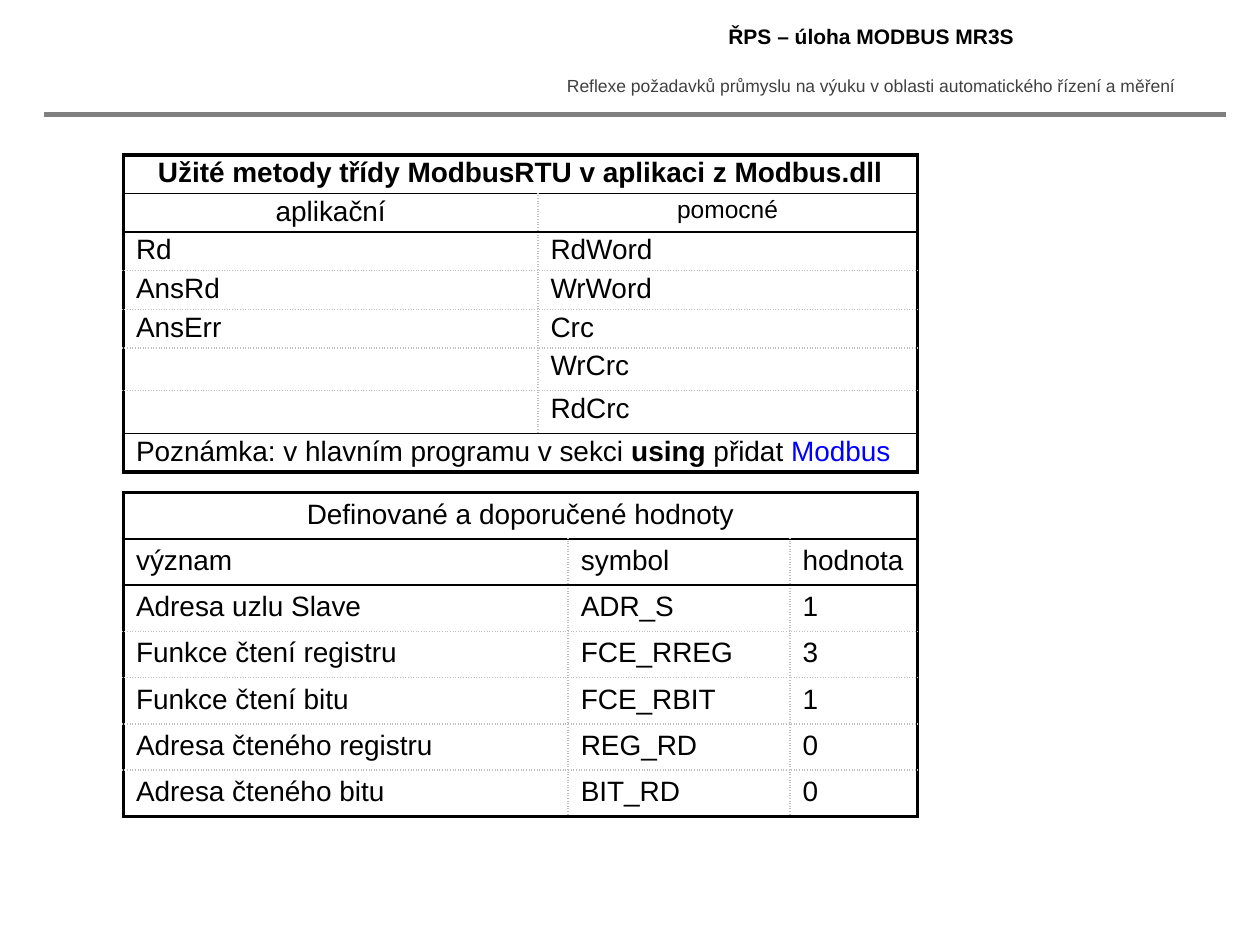
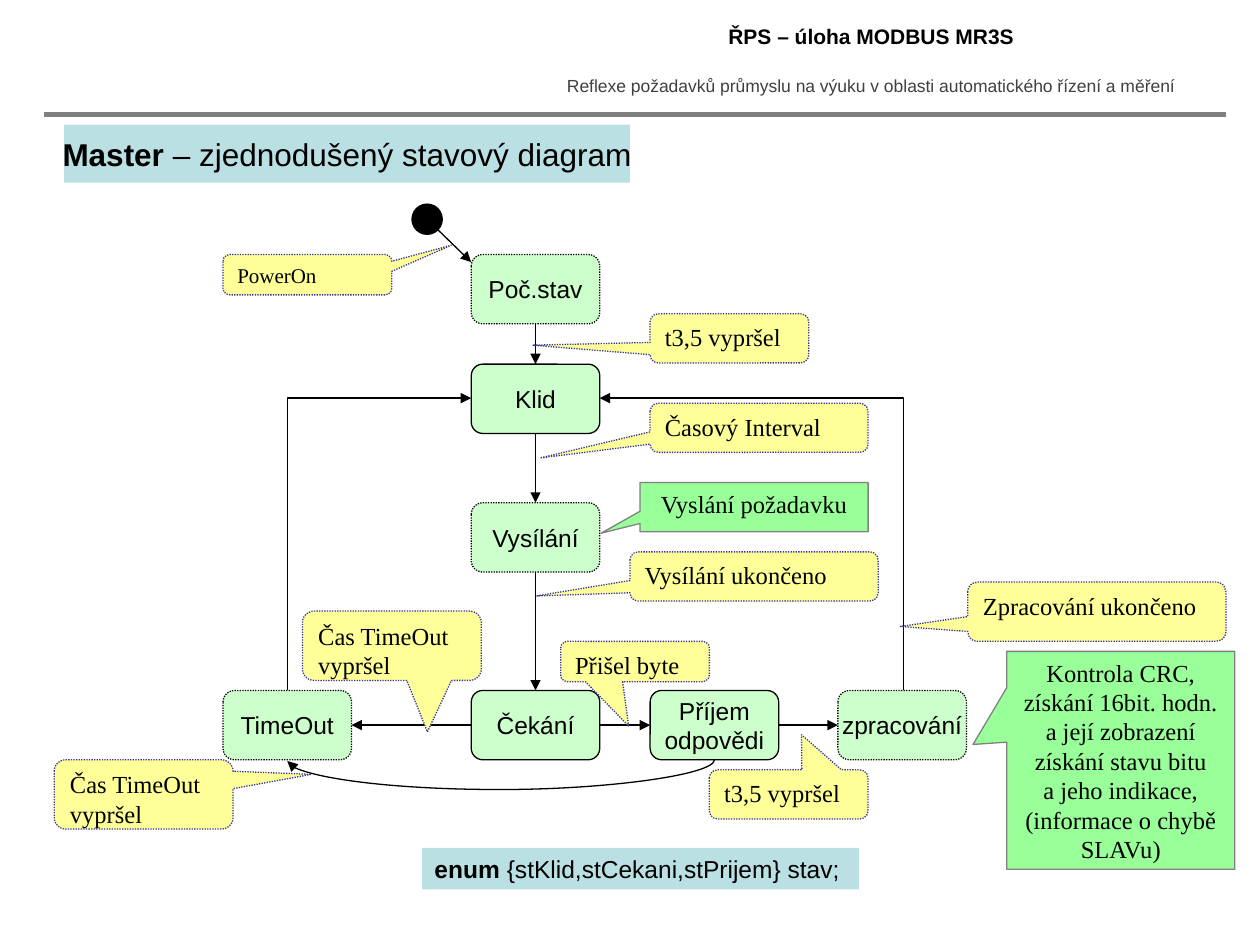
from lxml.etree import SubElement
from pptx import Presentation
from pptx.dml.color import RGBColor
from pptx.enum.dml import MSO_LINE
from pptx.enum.shapes import MSO_CONNECTOR, MSO_SHAPE
from pptx.enum.text import MSO_ANCHOR, MSO_AUTO_SIZE, PP_ALIGN
from pptx.oxml.ns import qn
from pptx.util import Inches, Pt

COLORS = {
    "black": "000000", "white": "FFFFFF", "subtitle": "404040", "rule": "808080",
    "grid": "C0C0C0", "keyword": "0000FF", "state": "CCFFCC", "event": "FFFF99",
    "event_line": "333399", "action": "99FF99", "label": "BBE0E3",
}
SANS, SERIF = "Arial", "Times New Roman"

TITLE = "ŘPS – úloha MODBUS MR3S"
SUBTITLE = "Reflexe požadavků průmyslu na výuku v oblasti automatického řízení a měření"

# A text is a string or a list of (text, bold, colour) runs.
METHODS = {
    "at": (0.98, 1.23), "columns": (3.29, 3.01), "row_height": 0.306, "margin": 0.02,
    "merged": (0, 7), "centered": (0, 1), "ruled": (0, 1, 6), "sizes": {(1, 1): 14},
    "rows": [
        [[("Užité metody třídy ModbusRTU v aplikaci z Modbus.dll", True, "black")]],
        ["aplikační", "pomocné"],
        ["Rd", "RdWord"],
        ["AnsRd", "WrWord"],
        ["AnsErr", "Crc"],
        ["", "WrCrc"],
        ["", "RdCrc"],
        [[("Poznámka: v hlavním programu v sekci ", False, "black"),
          ("using ", True, "black"), ("přidat ", False, "black"),
          ("Modbus", False, "keyword")]],
    ],
}
CONSTANTS = {
    "at": (0.98, 3.91), "columns": (3.53, 1.76, 1.01), "row_height": 0.367, "margin": 0.05,
    "merged": (0,), "centered": (0,), "ruled": (0, 1), "sizes": {},
    "rows": [
        ["Definované a doporučené hodnoty"],
        ["význam", "symbol", "hodnota"],
        ["Adresa uzlu Slave", "ADR_S", "1"],
        ["Funkce čtení registru", "FCE_RREG", "3"],
        ["Funkce čtení bitu", "FCE_RBIT", "1"],
        ["Adresa čteného registru", "REG_RD", "0"],
        ["Adresa čteného bitu", "BIT_RD", "0"],
    ],
}

STATE_SIZE = (1.02, 0.55)
STATES = {  # text: (left, top, dotted outline)
    "Poč.stav": (3.74, 2.02, True),
    "Klid": (3.74, 2.89, False),
    "Vysílání": (3.74, 3.99, True),
    "TimeOut": (1.77, 5.48, True),
    "Čekání": (3.74, 5.48, False),
    "Příjem\nodpovědi": (5.16, 5.48, False),
    "zpracování": (6.65, 5.48, True),
}
TOP, LEFT, BOTTOM, RIGHT = range(4)  # connection sites of a state
TRANSITIONS = [
    ("Poč.stav", BOTTOM, "Klid", TOP),
    ("Klid", BOTTOM, "Vysílání", TOP),
    ("Vysílání", BOTTOM, "Čekání", TOP),
    ("Čekání", RIGHT, "Příjem\nodpovědi", LEFT),
    ("Čekání", LEFT, "TimeOut", RIGHT),
    ("Příjem\nodpovědi", RIGHT, "zpracování", LEFT),
]
RETURNS = [  # from, to, preset, rotation, flipped, bend
    ((7.17, 5.48), (4.76, 3.16), "bentConnector2", 90, True, None),
    ((2.28, 5.48), (2.28 + 1.46, 3.16), "bentConnector2", 270, False, None),
    ((5.67, 6.03), (2.28, 6.04), "curvedConnector3", 90, False, 24),
]
EVENTS = [  # text, box, pointer offset from the centre, text size
    ("PowerOn", (1.77, 2.02, 1.34, 0.32), (0.852, -0.731), 12),
    ("t3,5 vypršel", (5.16, 2.49, 1.26, 0.39), (-1.241, 0.139), 14),
    ("Časový Interval", (5.16, 3.2, 1.73, 0.39), (-1.005, 0.615), 14),
    ("Vysílání ukončeno", (5, 4.38, 1.97, 0.39), (-0.878, 0.398), 14),
    ("Čas TimeOut\nvypršel", (2.4, 4.85, 1.42, 0.55), (0.199, 1.244), 14),
    ("Zpracování ukončeno", (7.68, 4.62, 2.05, 0.47), (-0.761, 0.25), 14),
    ("Přišel byte", (4.45, 5.09, 1.18, 0.32), (-0.043, 1.599), 14),
    ("Čas TimeOut\nvypršel", (0.43, 6.03, 1.42, 0.55), (0.938, -0.289), 14),
    ("t3,5 vypršel", (5.63, 6.11, 1.26, 0.39), (0.081, -1.214), 14),
]
ACTIONS = [
    ("Vyslání požadavku", (5.08, 3.83, 1.81, 0.39), (-0.671, 0.531)),
    ("Kontrola CRC,\nzískání 16bit. hodn.\na její zobrazení\nzískání stavu bitu\n"
     "a jeho indikace,\n(informace o chybě SLAVu)", (7.99, 5.17, 1.81, 1.73), (-0.648, -0.073)),
]
HEADING = [("Master", True, "black"), (" – zjednodušený stavový diagram", False, "black")]
DECLARATION = [("enum ", True, "black"), ("{stKlid,stCekani,stPrijem} stav;", False, "black")]


def rgb(name):
    """Return a palette colour."""
    return RGBColor.from_string(COLORS[name])


def write(frame, content, size, font=SANS, color="black", bold=False, align=PP_ALIGN.LEFT):
    """Fill a text frame with a string or with formatted runs."""
    if isinstance(content, str):
        frame.text = content
        styles = None
    else:
        for text, _, _ in content:
            frame.paragraphs[0].add_run().text = text
        styles = [(run_bold, run_color) for _, run_bold, run_color in content]
    for paragraph in frame.paragraphs:
        paragraph.alignment = align
        for index, run in enumerate(paragraph.runs):
            run_bold, run_color = styles[index] if styles else (bold, color)
            run.font.name, run.font.size, run.font.bold = font, Pt(size), run_bold
            run.font.color.rgb = rgb(run_color)


def add_line(slide, start, end, color="black", width=0.75, arrow=True):
    """Draw a straight line, with an arrowhead at its end if wanted."""
    line = slide.shapes.add_connector(
        MSO_CONNECTOR.STRAIGHT, *(Inches(v) for v in (*start, *end)))
    line.line.color.rgb = rgb(color)
    line.line.width = Pt(width)
    if arrow:
        SubElement(line.line._get_or_add_ln(), qn("a:tailEnd"), type="triangle")
    SubElement(line._element.spPr, qn("a:effectLst"))
    return line


def add_return(slide, start, end, preset, rotation, flipped, bend):
    """Draw a bent or curved arrow as a connector turned by a quarter."""
    arrow = add_line(slide, start, end)
    (x1, y1), (x2, y2) = start, end
    width, height = abs(y2 - y1), abs(x2 - x1)
    arrow.left = Inches((x1 + x2 - width) / 2)
    arrow.top = Inches((y1 + y2 - height) / 2)
    arrow.width, arrow.height = Inches(width), Inches(height)
    properties = arrow._element.spPr
    frame = properties.find(qn("a:xfrm"))
    for flip in ("flipH", "flipV"):
        frame.attrib.pop(flip, None)
    frame.set("rot", str(rotation * 60000))
    if flipped:
        frame.set("flipH", "1")
    geometry = properties.find(qn("a:prstGeom"))
    geometry.set("prst", preset)
    if bend:
        guides = geometry.find(qn("a:avLst"))
        if guides is None:
            guides = SubElement(geometry, qn("a:avLst"))
        SubElement(guides, qn("a:gd"), name="adj1", fmla=f"val {bend * 100000}")


def add_box(slide, preset, box, fill, outline=None, dotted=False, adjust=()):
    """Add a filled preset shape without a shadow."""
    shape = slide.shapes.add_shape(preset, *(Inches(v) for v in box))
    shape.shadow.inherit = False
    shape.fill.solid()
    shape.fill.fore_color.rgb = rgb(fill)
    if outline:
        shape.line.color.rgb = rgb(outline)
        shape.line.width = Pt(0.75)
        if dotted:
            shape.line.dash_style = MSO_LINE.ROUND_DOT
    else:
        shape.line.fill.background()
    for index, value in enumerate(adjust):
        shape.adjustments[index] = value
    shape.text_frame.word_wrap = True
    shape.text_frame.vertical_anchor = MSO_ANCHOR.TOP
    return shape


def center_unwrapped(shape):
    """Keep the text on its lines, in the middle of the shape."""
    shape.text_frame.word_wrap = False
    shape.text_frame.vertical_anchor = MSO_ANCHOR.MIDDLE


def add_page(deck):
    """Add a slide with the shared title, subtitle and rule."""
    slide = deck.slides.add_slide(deck.slide_layouts[5])
    title = slide.shapes.title
    title.left, title.top, title.width, title.height = (
        Inches(v) for v in (4.3, 0.14, 5.23, 0.31))
    write(title.text_frame, TITLE, 12, bold=True, align=PP_ALIGN.CENTER)
    title.text_frame.auto_size = MSO_AUTO_SIZE.NONE
    title.text_frame.vertical_anchor = MSO_ANCHOR.TOP
    subtitle = slide.shapes.add_textbox(*(Inches(v) for v in (4.3, 0.55, 5.22, 0.27)))
    subtitle.text_frame.word_wrap = True
    write(subtitle.text_frame, SUBTITLE, 10, color="subtitle", align=PP_ALIGN.CENTER)
    add_line(slide, (0.35, 0.91), (9.73, 0.91), "rule", 3, arrow=False)
    return slide


def set_borders(cell, borders):
    """Draw the left, right, top and bottom borders of a cell."""
    properties = cell._tc.get_or_add_tcPr()
    for index, (side, (color, width, dash)) in enumerate(zip("LRTB", borders)):
        line = SubElement(properties, qn(f"a:ln{side}"), w=str(Pt(width)))
        fill = SubElement(line, qn("a:solidFill"))
        SubElement(fill, qn("a:srgbClr"), val=COLORS[color])
        SubElement(line, qn("a:prstDash"), val=dash)
        properties.insert(index, line)


def add_grid(slide, spec_table):
    """Add a table with a thick frame, ruled headings and dotted inner lines."""
    rows, columns = spec_table["rows"], spec_table["columns"]
    height = spec_table["row_height"]
    table = slide.shapes.add_table(
        len(rows), len(columns), *(Inches(v) for v in spec_table["at"]),
        Inches(sum(columns)), Inches(height * len(rows))).table
    table.first_row = table.horz_banding = False
    for column, width in zip(table.columns, columns):
        column.width = Inches(width)
    outer, ruled, dotted = ("black", 2.25, "solid"), ("black", 1, "solid"), ("grid", 1, "sysDot")
    last_row, last_column = len(rows) - 1, len(columns) - 1

    def border_below(r):
        """Choose the line under row r; row -1 is the top edge."""
        if r in (-1, last_row):
            return outer
        return ruled if r in spec_table["ruled"] else dotted

    for r, texts in enumerate(rows):
        table.rows[r].height = Inches(height)
        merged = r in spec_table["merged"]
        if merged:
            table.cell(r, 0).merge(table.cell(r, last_column))
        for c in range(len(columns)):
            cell = table.cell(r, c)
            cell.fill.background()
            cell.margin_top = cell.margin_bottom = Inches(spec_table["margin"])
            set_borders(cell, (
                outer if merged or c == 0 else dotted,
                outer if merged or c == last_column else dotted,
                border_below(r - 1), border_below(r)))
            if c < len(texts):
                align = PP_ALIGN.CENTER if r in spec_table["centered"] else PP_ALIGN.LEFT
                write(cell.text_frame, texts[c], spec_table["sizes"].get((r, c), 16), align=align)


def add_diagram(slide):
    """Draw the states, the transitions and their callouts."""
    states = {}
    for text, (left, top, dotted) in STATES.items():
        states[text] = add_box(slide, MSO_SHAPE.ROUNDED_RECTANGLE, (left, top, *STATE_SIZE),
                               "state", "black", dotted)
        center_unwrapped(states[text])
        write(states[text].text_frame, text, 14, align=PP_ALIGN.CENTER)
    add_box(slide, MSO_SHAPE.OVAL, (3.27, 1.62, 0.24, 0.24), "black", "black")
    add_line(slide, (3.43, 1.78), (3.74, 2.08))
    for source, source_site, target, target_site in TRANSITIONS:
        arrow = add_line(slide, (0, 0), (1, 1))
        arrow.begin_connect(states[source], source_site)
        arrow.end_connect(states[target], target_site)
    for route in RETURNS:
        add_return(slide, *route)
    for text, box, pointer, size in EVENTS:
        event = add_box(slide, MSO_SHAPE.ROUNDED_RECTANGULAR_CALLOUT, box, "event",
                        "event_line", True, (*pointer, 0.167))
        write(event.text_frame, text, size, SERIF)
    for text, box, pointer in ACTIONS:
        action = add_box(slide, MSO_SHAPE.RECTANGULAR_CALLOUT, box, "action", "rule",
                         adjust=pointer)
        write(action.text_frame, text, 14, SERIF, align=PP_ALIGN.CENTER)


deck = Presentation()
deck.slide_width, deck.slide_height = Inches(10), Inches(7.5)

tables_page = add_page(deck)
for grid in (METHODS, CONSTANTS):
    add_grid(tables_page, grid)

diagram_page = add_page(deck)
heading = add_box(diagram_page, MSO_SHAPE.RECTANGLE, (0.51, 0.99, 4.49, 0.46), "label")
center_unwrapped(heading)
write(heading.text_frame, HEADING, 18, align=PP_ALIGN.CENTER)
add_diagram(diagram_page)
declaration = add_box(diagram_page, MSO_SHAPE.RECTANGLE, (3.35, 6.73, 3.47, 0.33), "label")
write(declaration.text_frame, DECLARATION, 14)

deck.save("out.pptx")
